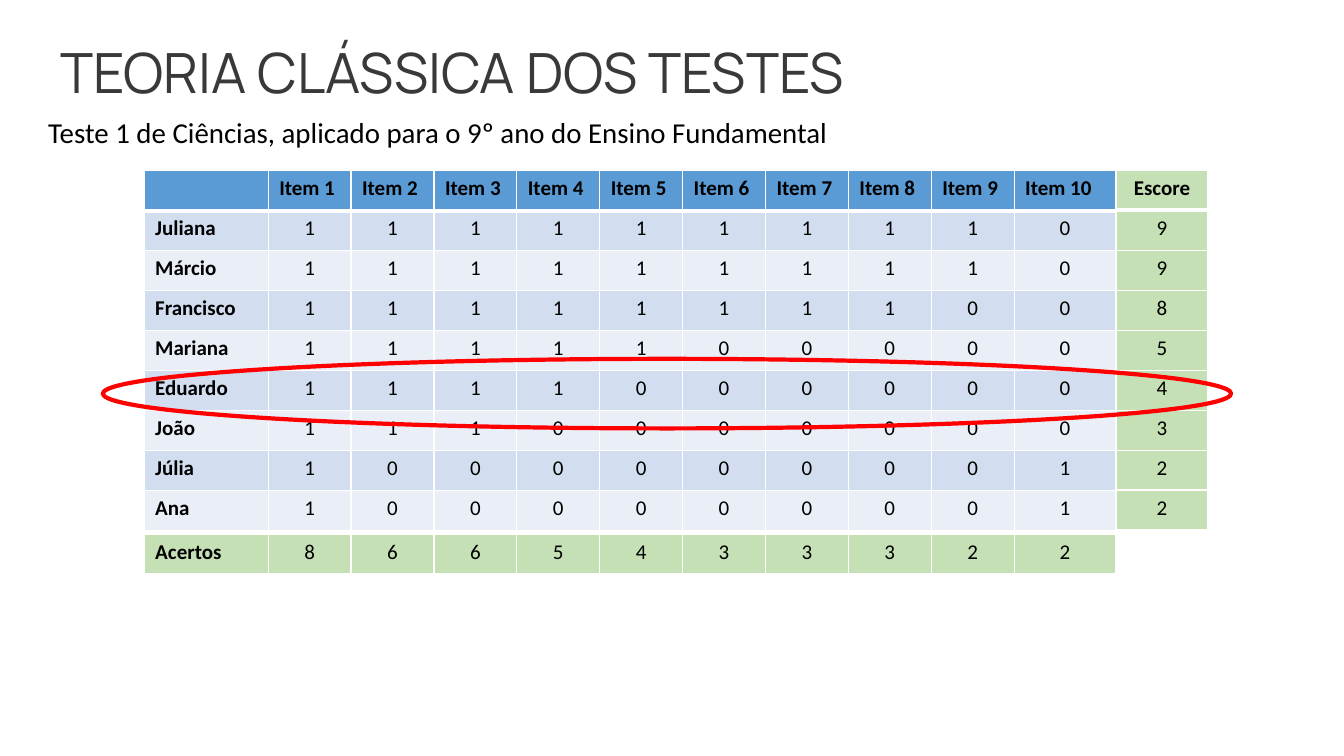
from dataclasses import dataclass

from lxml import etree
from pptx import Presentation
from pptx.dml.color import RGBColor
from pptx.enum.shapes import MSO_SHAPE as SHAPE
from pptx.enum.text import MSO_ANCHOR as ANCHOR, PP_ALIGN as ALIGN
from pptx.oxml.ns import qn
from pptx.util import Inches, Pt


@dataclass(frozen=True)
class Theme:
    title_font: str = "Manrope"
    body_font: str = "Calibri"
    title_size: float = 39.6
    subtitle_size: float = 20.6
    cell_size: float = 15
    title: str = "3B3838"
    text: str = "000000"
    header: str = "5B9BD5"
    bands: tuple = ("D2DEEF", "EAEFF7")
    total: str = "C5E0B4"
    border: str = "FFFFFF"
    highlight: str = "FF0000"
    thin: float = 1
    thick: float = 3


THEME = Theme()

ANSWERS = {
    "Juliana": "1111111110",
    "Márcio": "1111111110",
    "Francisco": "1111111100",
    "Mariana": "1111100000",
    "Eduardo": "1111000000",
    "João": "1110000000",
    "Júlia": "1000000001",
    "Ana": "1000000001",
}
ITEM_COUNT = 10
TABLE_LEFT, TABLE_TOP = 1.43, 1.69
TABLE_WIDTH, TABLE_HEIGHT = 9.64, 3.57
NAME_WIDTH, LAST_WIDTH, SCORE_WIDTH = 1.23, 1.01, 0.91
ITEM_WIDTH = (TABLE_WIDTH - NAME_WIDTH - LAST_WIDTH) / (ITEM_COUNT - 1)
COLUMNS = [NAME_WIDTH] + [ITEM_WIDTH] * (ITEM_COUNT - 1) + [LAST_WIDTH]


def add_run(p, text, font, size, color, bold=False):
    r = p.add_run()
    r.text = text
    r.font.name = font
    r.font.size = Pt(size)
    r.font.bold = bold
    r.font.color.rgb = RGBColor.from_string(color)


def add_text(s, box, text, font, size, color, align, anchor):
    tf = s.shapes.add_textbox(*map(Inches, box)).text_frame
    tf.word_wrap = True
    tf.vertical_anchor = anchor
    p = tf.paragraphs[0]
    p.alignment = align
    p.line_spacing = 0.9
    add_run(p, text, font, size, color)


def set_borders(cell, top, bottom):
    tc_pr = cell._tc.get_or_add_tcPr()
    widths = {"a:lnL": THEME.thin, "a:lnR": THEME.thin, "a:lnT": top, "a:lnB": bottom}
    for i, (tag, width) in enumerate(widths.items()):
        ln = etree.Element(qn(tag), w=str(Pt(width)))
        fill = etree.SubElement(ln, qn("a:solidFill"))
        etree.SubElement(fill, qn("a:srgbClr"), val=THEME.border)
        tc_pr.insert(i, ln)


def fill_cell(cell, text, color, bold, align):
    cell.fill.solid()
    cell.fill.fore_color.rgb = RGBColor.from_string(color)
    cell.margin_left = cell.margin_right = Inches(0.11)
    cell.margin_top = cell.margin_bottom = Inches(0.05)
    p = cell.text_frame.paragraphs[0]
    p.alignment = align
    add_run(p, text, THEME.body_font, THEME.cell_size, THEME.text, bold)


def add_grid(s, left, top, widths, height, rows, fills, thick_row=0):
    frame = s.shapes.add_table(len(rows), len(widths), Inches(left), Inches(top),
                               Inches(sum(widths)), Inches(height))
    table = frame.table
    table.first_row = table.horz_banding = False
    for column, width in zip(table.columns, widths):
        column.width = Inches(width)
    for i, (values, color) in enumerate(zip(rows, fills)):
        table.rows[i].height = Inches(height / len(rows))
        for j, value in enumerate(values):
            cell = table.cell(i, j)
            is_label = isinstance(value, str)
            centered = not is_label or len(widths) == 1
            fill_cell(cell, str(value), color, is_label,
                      ALIGN.CENTER if centered else ALIGN.LEFT)
            set_borders(cell,
                        THEME.thick if i == thick_row + 1 else THEME.thin,
                        THEME.thick if i == thick_row else THEME.thin)


def add_highlight(s, box):
    sp = s.shapes.add_shape(SHAPE.OVAL, *map(Inches, box))
    sp.shadow.inherit = False
    sp.fill.background()
    sp.line.color.rgb = RGBColor.from_string(THEME.highlight)
    sp.line.width = Pt(THEME.thick)


def main():
    prs = Presentation()
    prs.slide_width, prs.slide_height = Inches(13.33), Inches(7.5)
    s = prs.slides.add_slide(prs.slide_layouts[6])

    add_text(s, (0.5, 0.38, 11.92, 0.73), "TEORIA CLÁSSICA DOS TESTES",
             THEME.title_font, THEME.title_size, THEME.title, ALIGN.LEFT, ANCHOR.MIDDLE)
    add_text(s, (0, 1.13, 8.69, 0.54),
             "Teste 1 de Ciências, aplicado para o 9º ano do Ensino Fundamental",
             THEME.body_font, THEME.subtitle_size, THEME.text, ALIGN.CENTER, ANCHOR.TOP)

    marks = [[int(mark) for mark in answers] for answers in ANSWERS.values()]
    header = [""] + [f"Item {n}" for n in range(1, ITEM_COUNT + 1)]
    results = [header] + [[name, *row] for name, row in zip(ANSWERS, marks)]
    scores = [["Escore"]] + [[sum(row)] for row in marks]
    hits = [["Acertos", *map(sum, zip(*marks))]]
    band_fills = [THEME.header] + [THEME.bands[i % 2] for i in range(len(marks))]

    add_grid(s, TABLE_LEFT, TABLE_TOP, COLUMNS, TABLE_HEIGHT, results, band_fills)
    add_grid(s, TABLE_LEFT + TABLE_WIDTH, TABLE_TOP, [SCORE_WIDTH], TABLE_HEIGHT,
             scores, [THEME.total] * len(scores))
    add_grid(s, TABLE_LEFT, 5.3, COLUMNS, 0.4, hits, [THEME.total])
    add_highlight(s, (1.02, 3.56, 11.19, 0.69))

    prs.save("out.pptx")


if __name__ == "__main__":
    main()
